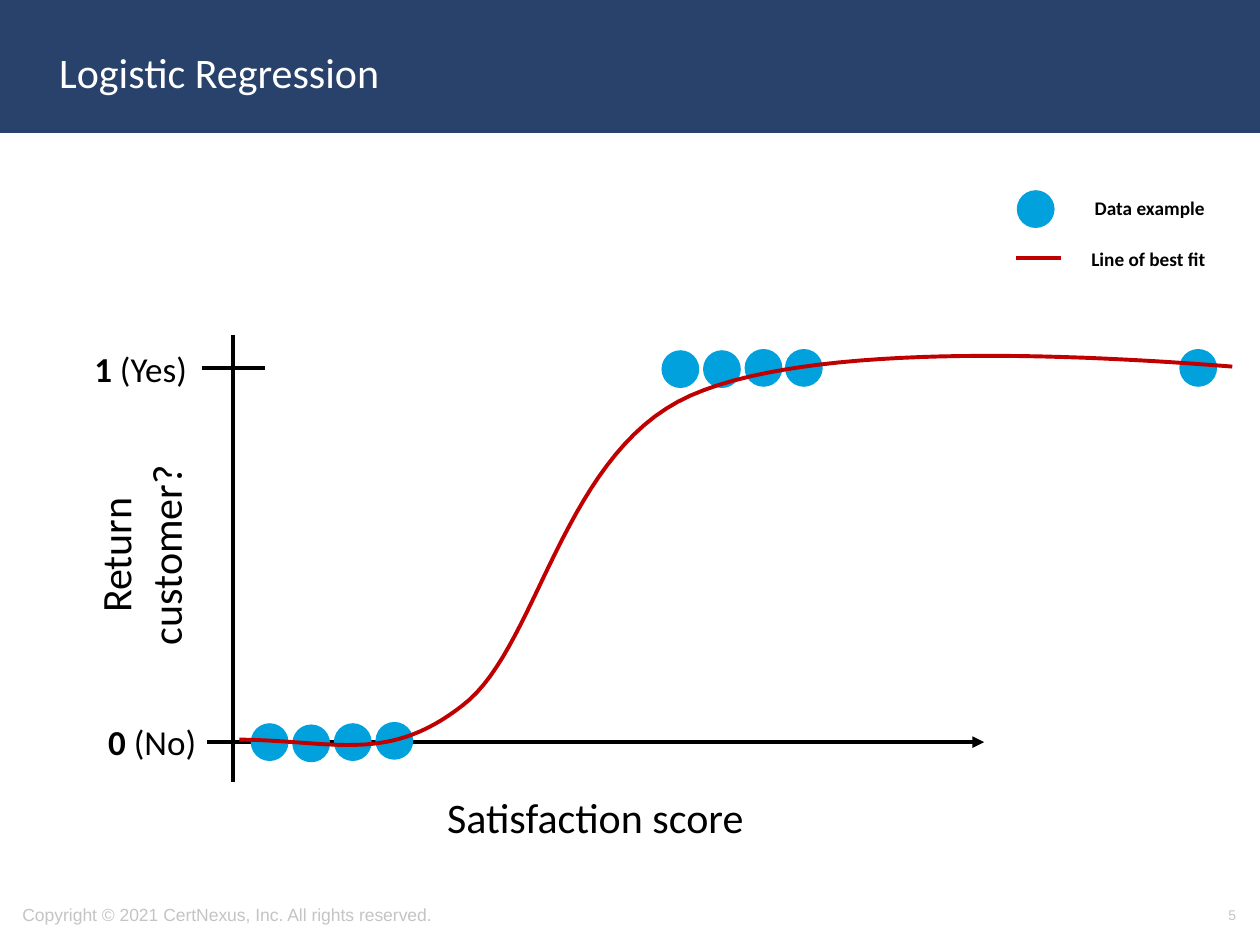
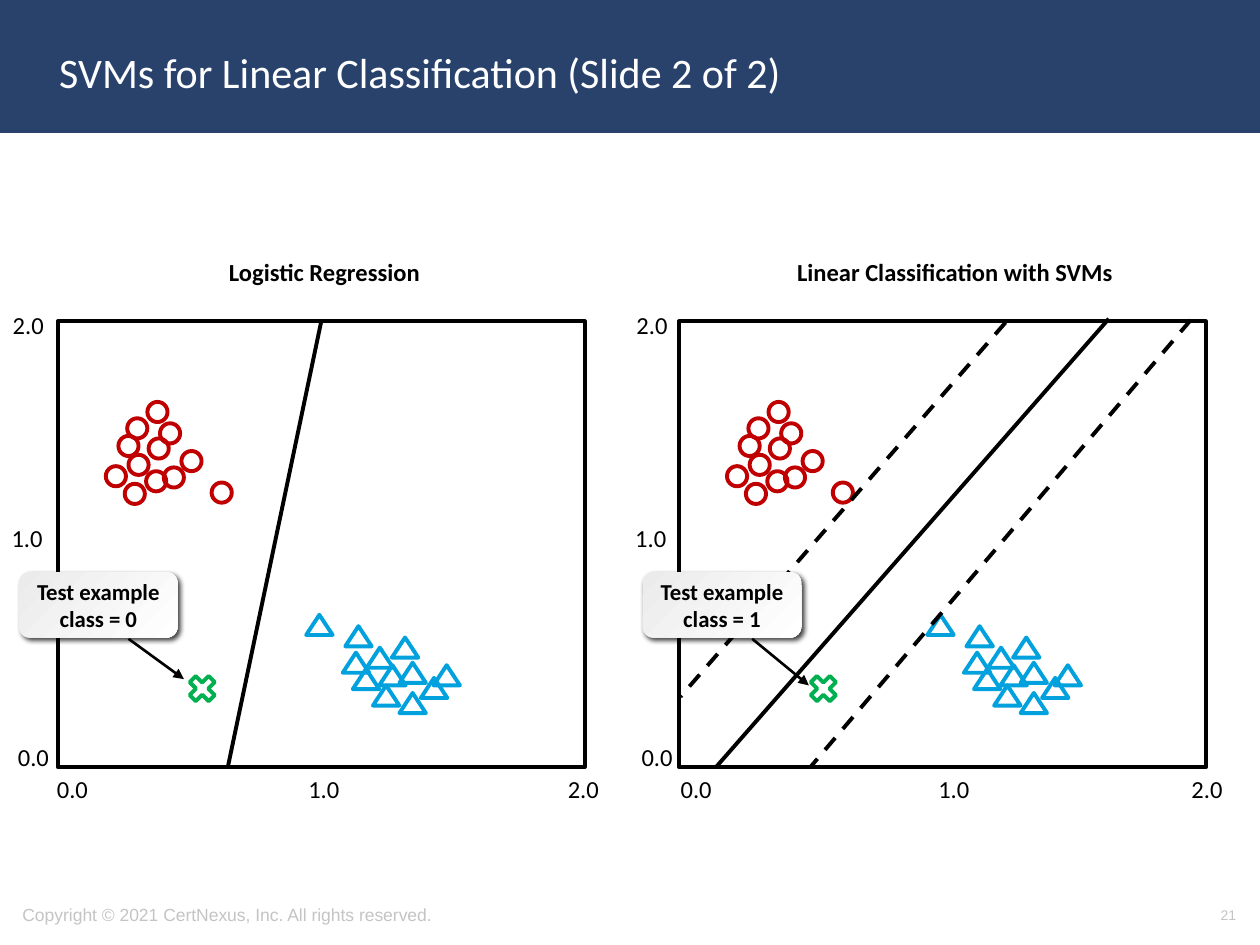
"""Build two slides: a logistic regression curve and a comparison with SVMs."""
from dataclasses import dataclass

from lxml import etree
from pptx import Presentation
from pptx.dml.color import RGBColor
from pptx.enum.dml import MSO_LINE
from pptx.enum.shapes import MSO_CONNECTOR, MSO_SHAPE
from pptx.enum.text import MSO_ANCHOR, MSO_AUTO_SIZE, PP_ALIGN
from pptx.oxml.ns import qn
from pptx.util import Inches, Pt

RECTANGLE = MSO_SHAPE.RECTANGLE
ROUNDED = MSO_SHAPE.ROUNDED_RECTANGLE
OVAL = MSO_SHAPE.OVAL
TRIANGLE = MSO_SHAPE.ISOSCELES_TRIANGLE
CROSS = MSO_SHAPE.MATH_MULTIPLY
STRAIGHT = MSO_CONNECTOR.STRAIGHT
DASH = MSO_LINE.DASH
MIDDLE = MSO_ANCHOR.MIDDLE
LEFT, CENTER, RIGHT = PP_ALIGN.LEFT, PP_ALIGN.CENTER, PP_ALIGN.RIGHT
NO_AUTOFIT = MSO_AUTO_SIZE.NONE
TITLE_ONLY = 5


@dataclass(frozen=True)
class Theme:
    """Colours, fonts and sizes of the deck."""
    navy: RGBColor = RGBColor.from_string("28426C")
    blue: RGBColor = RGBColor.from_string("01A1DD")
    red: RGBColor = RGBColor.from_string("C00000")
    green: RGBColor = RGBColor.from_string("00B050")
    black: RGBColor = RGBColor.from_string("000000")
    white: RGBColor = RGBColor.from_string("FFFFFF")
    pale: RGBColor = RGBColor.from_string("EBEBEB")
    footer: RGBColor = RGBColor.from_string("C4C4C4")
    body_font: str = "Calibri"
    footer_font: str = "Arial"
    title_size: Pt = Pt(24)
    class_size: Pt = Pt(20)
    tick_size: Pt = Pt(14)
    callout_size: Pt = Pt(13)
    legend_size: Pt = Pt(11)
    copyright_size: Pt = Pt(10)
    number_size: Pt = Pt(8)
    stroke: Pt = Pt(2.25)
    thin: Pt = Pt(1.5)


theme = Theme()


def add_text(slide, box, text, size, align=CENTER, bold=False, wrap=True,
             font=theme.body_font, color=theme.black):
    """Add a text box and return it."""
    shape = slide.shapes.add_textbox(*map(Inches, box))
    text_frame = shape.text_frame
    text_frame.text = text
    text_frame.word_wrap = wrap
    paragraph = text_frame.paragraphs[0]
    paragraph.alignment = align
    paragraph.font.size = size
    paragraph.font.name = font
    paragraph.font.color.rgb = color
    paragraph.runs[0].font.bold = bold
    return shape


def add_line(slide, ends, color=theme.black, width=theme.stroke, dash=None, arrow=False):
    """Add a straight line, with an arrowhead at its start if asked."""
    connector = slide.shapes.add_connector(STRAIGHT, *map(Inches, ends))
    connector.line.color.rgb = color
    connector.line.width = width
    if dash:
        connector.line.dash_style = dash
    properties = connector.element.spPr
    if arrow:
        etree.SubElement(properties.find(qn("a:ln")), qn("a:headEnd"), type="triangle")
    etree.SubElement(properties, qn("a:effectLst"))
    return connector


presentation = Presentation()
presentation.slide_width = Inches(10)
presentation.slide_height = Inches(7.5)

slides = []
for title_text, number in (("Logistic Regression", "5"),
                           ("SVMs for Linear Classification (Slide 2 of 2)", "21")):
    slide = presentation.slides.add_slide(presentation.slide_layouts[TITLE_ONLY])
    slides.append(slide)
    band = slide.shapes.add_shape(RECTANGLE, 0, 0, Inches(10), Inches(1.04))
    band.shadow.inherit = False
    band.fill.solid()
    band.fill.fore_color.rgb = theme.navy
    band.line.color.rgb = theme.navy
    band.line.width = Pt(2)
    slide.shapes.element.insert(2, band.element)

    title = slide.shapes.title
    title.left, title.top, title.width, title.height = map(Inches, (0.37, 0.11, 8.62, 0.92))
    title.text_frame.text = title_text
    title.text_frame.vertical_anchor = MIDDLE
    title.text_frame.auto_size = NO_AUTOFIT
    paragraph = title.text_frame.paragraphs[0]
    paragraph.alignment = LEFT
    paragraph.font.size = theme.title_size
    paragraph.font.name = theme.body_font
    paragraph.font.color.rgb = theme.white

    for box, text, size, align in (
            ((0.08, 7.06, 5.27, 0.4), "Copyright © 2021 CertNexus, Inc. All rights reserved.",
             theme.copyright_size, LEFT),
            ((7.58, 7.06, 2.33, 0.4), number, theme.number_size, RIGHT)):
        footer = add_text(slide, box, text, size, align,
                          font=theme.footer_font, color=theme.footer)
        footer.text_frame.vertical_anchor = MIDDLE

regression, comparison = slides

for box, text in (((8.56, 1.51, 1.13, 0.29), "Data example"),
                  ((8.55, 1.91, 1.13, 0.29), "Line of best fit")):
    add_text(regression, box, text, theme.legend_size, bold=True)
add_line(regression, (8.06, 2.05, 8.42, 2.05), theme.red)

add_line(regression, (7.81, 5.89, 1.64, 5.89), arrow=True)
add_line(regression, (2.1, 2.92, 1.6, 2.92))
add_line(regression, (1.85, 2.66, 1.85, 6.21))
add_text(regression, (3.45, 6.23, 2.58, 0.5), "Satisfaction score",
         theme.title_size, LEFT, wrap=False)
axis_title = add_text(regression, (0.28, 3.95, 1.67, 0.91), "Return customer?", theme.title_size)
axis_title.rotation = 270
for box, value, meaning in (((0.65, 2.71, 0.95, 0.44), "1", " (Yes)"),
                            ((0.76, 5.67, 0.91, 0.44), "0", " (No)")):
    label = add_text(regression, box, value, theme.class_size, LEFT, bold=True, wrap=False)
    run = label.text_frame.paragraphs[0].add_run()
    run.text = meaning

data_examples = [(8.07, 1.51),
                 (1.99, 5.74), (2.32, 5.75), (2.65, 5.74), (2.98, 5.73),
                 (5.25, 2.78), (5.58, 2.78), (5.91, 2.77), (6.23, 2.77), (9.36, 2.77)]
for left, top in data_examples:
    dot = regression.shapes.add_shape(OVAL, *map(Inches, (left, top, 0.3, 0.3)))
    dot.shadow.inherit = False
    dot.fill.solid()
    dot.fill.fore_color.rgb = theme.blue
    dot.line.fill.background()

knots = [(1.9, 5.87), (2.67, 5.88), (3.08, 6.06), (3.67, 5.6), (4.27, 5.15),
         (4.46, 3.59), (5.48, 3.14), (6.49, 2.69), (8.76, 2.83), (9.78, 2.91)]
STEPS = 30
curve_points = []
for first in range(0, len(knots) - 1, 3):
    for step in range(1, STEPS + 1):
        t = step / STEPS
        weights = ((1 - t) ** 3, 3 * t * (1 - t) ** 2, 3 * t ** 2 * (1 - t), t ** 3)
        curve_points.append([
            Inches(sum(weight * knot[axis] for weight, knot in zip(weights, knots[first:first + 4])))
            for axis in (0, 1)])
builder = regression.shapes.build_freeform(*map(Inches, knots[0]))
builder.add_line_segments(curve_points, close=False)
curve = builder.convert_to_shape()
curve.shadow.inherit = False
curve.fill.background()
curve.line.color.rgb = theme.red
curve.line.width = theme.stroke

class_zero = [(1.17, 3.19), (1.01, 3.32), (1.27, 3.36), (1.18, 3.48), (1.02, 3.61), (1.68, 3.83),
              (0.84, 3.7), (1.44, 3.58), (1.16, 3.74), (0.99, 3.84), (1.3, 3.71), (0.94, 3.46)]
class_one = [(2.74, 4.97), (2.43, 4.88), (2.91, 5.14), (2.72, 5.18), (3.01, 5.28), (2.8, 5.31),
             (3.11, 5.06), (3.17, 5.26), (2.96, 5.44), (3.17, 5.5), (3.34, 5.38), (3.44, 5.28)]
marks = [(RECTANGLE, 4.18, 3.54, theme.black, [(0.46, 2.55)]),
         (OVAL, 0.16, 0.16, theme.red, class_zero),
         (TRIANGLE, 0.21, 0.16, theme.blue, class_one),
         (CROSS, 0.29, 0.29, theme.green, [(1.46, 5.32)])]
panels = [
    (0, 0, 2.34, "Logistic Regression", (1.05, 1.99, 3.05, 0.34), "Test example class = 0",
     (1.46, 5.39, 1.02, 5.07), [((2.55, 2.55, 1.81, 6.08), None)]),
    (4.93, 4.95, 7.34, "Linear Classification with SVMs", (6.18, 1.99, 2.8, 0.34),
     "Test example class = 1", (6.42, 5.44, 5.97, 5.07),
     [((8.8, 2.53, 5.69, 6.08), None), ((7.98, 2.56, 5.4, 5.53), DASH),
      ((9.45, 2.54, 6.43, 6.09), DASH)])]

for shift, label_shift, middle_tick, heading, heading_box, verdict, pointer, boundaries in panels:
    frame = None
    for kind, width, height, color, places in marks:
        for left, top in places:
            mark = comparison.shapes.add_shape(
                kind, *map(Inches, (left + shift, top, width, height)))
            mark.shadow.inherit = False
            mark.fill.background()
            mark.line.color.rgb = color
            mark.line.width = theme.stroke
            frame = frame or mark
    for ends, dash in boundaries:
        boundary = add_line(comparison, ends, dash=dash)
        if shift == 0:
            boundary.begin_connect(frame, 0)

    add_text(comparison, heading_box, heading, theme.tick_size, bold=True)
    for left, top, width, text in (
            (0.35 + label_shift, 6.09, 0.45, "0.0"), (middle_tick, 6.09, 0.46, "1.0"),
            (4.4 + label_shift, 6.09, 0.46, "2.0"), (0.04 + label_shift, 5.84, 0.45, "0.0"),
            (-0.05 + label_shift, 4.1, 0.53, "1.0"), (-0.04 + label_shift, 2.41, 0.53, "2.0")):
        add_text(comparison, (left, top, width, 0.34), text, theme.tick_size, wrap=False)

    add_line(comparison, pointer, width=theme.thin, arrow=True)
    callout = comparison.shapes.add_shape(
        ROUNDED, *map(Inches, (0.15 + label_shift, 4.54, 1.26, 0.52)))
    callout.line.fill.background()
    callout.fill.gradient()
    callout.fill.gradient_angle = 315
    for stop, color in zip(callout.fill.gradient_stops, (theme.pale, theme.white)):
        stop.color.rgb = color
    callout.shadow.inherit = False
    effects = callout.element.spPr.find(qn("a:effectLst"))
    shadow = etree.SubElement(effects, qn("a:outerShdw"), blurRad=str(Pt(3)), dist=str(Pt(2)),
                              dir=str(45 * 60000), algn="tl", rotWithShape="0")
    shadow_color = etree.SubElement(shadow, qn("a:srgbClr"), val=str(theme.black))
    etree.SubElement(shadow_color, qn("a:alpha"), val="75000")
    callout.text_frame.text = verdict
    callout.text_frame.word_wrap = True
    callout.text_frame.vertical_anchor = MIDDLE
    paragraph = callout.text_frame.paragraphs[0]
    paragraph.alignment = CENTER
    paragraph.font.size = theme.callout_size
    paragraph.font.name = theme.body_font
    paragraph.font.bold = True
    paragraph.font.color.rgb = theme.black

presentation.save("out.pptx")
